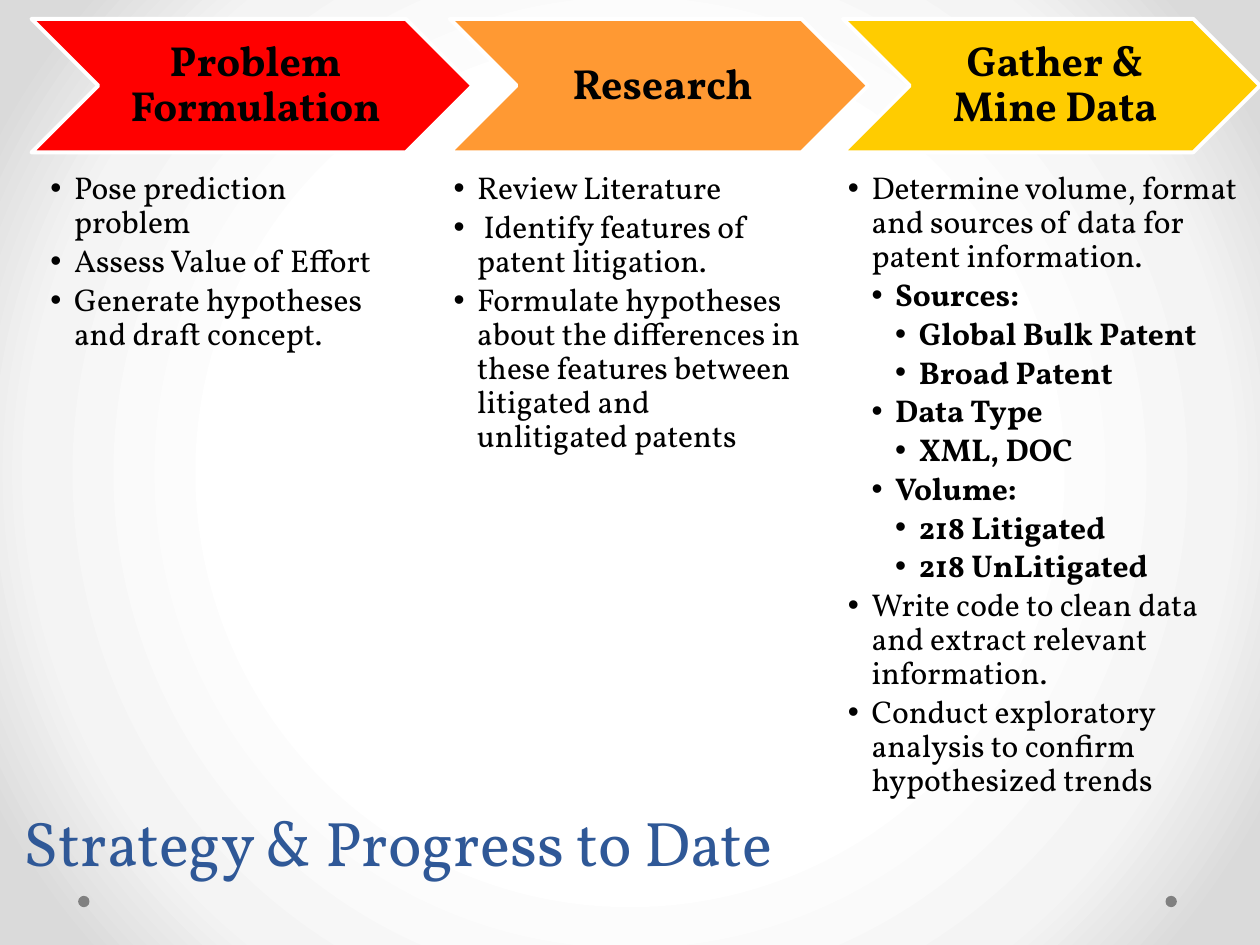
from dataclasses import dataclass

from lxml import etree
from pptx import Presentation
from pptx.dml.color import RGBColor
from pptx.enum.shapes import MSO_SHAPE
from pptx.enum.text import MSO_ANCHOR, MSO_AUTO_SIZE, PP_ALIGN
from pptx.oxml.ns import qn
from pptx.util import Inches, Pt


@dataclass(frozen=True)
class Theme:
    font: str = "Vollkorn"
    title_size: int = 36
    stage_size: int = 24
    list_size: int = 18
    title: str = "2F5897"
    ink: str = "000000"
    edge: str = "FFFFFF"
    dot: str = "808080"
    backdrop: tuple = ((50, "FFFFFF"), (76, "F4F4F4"), (92, "DADADA"))


theme = Theme()


def add_text(paragraph, words, size, color, bold=False):
    run = paragraph.add_run()
    run.text = words
    run.font.name = theme.font
    run.font.size = Pt(size)
    run.font.bold = bold
    run.font.color.rgb = RGBColor.from_string(color)


def set_frame(frame, anchor, margins):
    frame.word_wrap = True
    frame.auto_size = MSO_AUTO_SIZE.NONE
    frame.vertical_anchor = anchor
    frame.margin_left, frame.margin_top, frame.margin_right, frame.margin_bottom = (
        Inches(margin) for margin in margins)


# Chevron left and width, list left and width, then (level, text) items
stages = [
    ("Problem Formulation", "FF0000", 0.25, 3.5, 0.4, 2.78, [
        (0, "Pose prediction problem"),
        (0, "Assess Value of Effort"),
        (0, "Generate hypotheses and draft concept."),
    ]),
    ("Research", "FF9933", 3.57, 3.32, 3.6, 2.8, [
        (0, "Review Literature"),
        (0, " Identify features of patent litigation."),
        (0, "Formulate hypotheses about the differences in these features "
            "between litigated and unlitigated patents"),
    ]),
    ("Gather & Mine Data", "FFCC00", 6.69, 3.31, 6.73, 3.09, [
        (0, "Determine volume, format and sources of data for patent information."),
        (1, "Sources:"),
        (2, "Global Bulk Patent"),
        (2, "Broad Patent"),
        (1, "Data Type"),
        (2, "XML, DOC"),
        (1, "Volume:"),
        (2, "218 Litigated"),
        (2, "218 UnLitigated"),
        (0, "Write code to clean data and extract relevant information."),
        (0, "Conduct exploratory analysis to confirm hypothesized trends"),
    ]),
]

prs = Presentation()
prs.slide_width, prs.slide_height = Inches(10), Inches(7.5)
slide = prs.slides.add_slide(prs.slide_layouts.get_by_name("Comparison"))

# Radial background
slide.background.fill.gradient()
gradient = next(slide.element.iter(qn("a:gradFill")))
for child in list(gradient):
    gradient.remove(child)
stops = etree.SubElement(gradient, qn("a:gsLst"))
for position, color in theme.backdrop:
    stop = etree.SubElement(stops, qn("a:gs"), pos=str(position * 1000))
    etree.SubElement(stop, qn("a:srgbClr"), val=color)
circle = etree.SubElement(gradient, qn("a:path"), path="circle")
etree.SubElement(circle, qn("a:fillToRect"), l="50000", t="50000", r="50000", b="50000")

# Footer dots
for dot_left in (9.25, 0.62):
    dot = slide.shapes.add_shape(
        MSO_SHAPE.OVAL, Inches(dot_left), Inches(7.11), Inches(0.09), Inches(0.09))
    dot.shadow.inherit = False
    dot.fill.solid()
    dot.fill.fore_color.rgb = RGBColor.from_string(theme.dot)
    dot.line.fill.background()

# Title
title = slide.shapes.title
title.left, title.top, title.width, title.height = (
    Inches(length) for length in (0.09, 6.33, 6.6, 0.71))
set_frame(title.text_frame, MSO_ANCHOR.TOP, (0.1, 0.05, 0.1, 0.05))
heading = title.text_frame.paragraphs[0]
heading.alignment = PP_ALIGN.LEFT
add_text(heading, "Strategy & Progress to Date", theme.title_size, theme.title)

# Stages: a chevron with its list below
*bodies, spare = [holder for holder in slide.placeholders
                  if holder.placeholder_format.idx in (1, 2, 3, 4)]
spare.element.getparent().remove(spare.element)

for body, stage in zip(bodies, stages):
    name, color, left, width, list_left, list_width, items = stage
    chevron = slide.shapes.add_shape(
        MSO_SHAPE.CHEVRON, Inches(left), Inches(0.15), Inches(width), Inches(1.06))
    chevron.shadow.inherit = False
    chevron.fill.solid()
    chevron.fill.fore_color.rgb = RGBColor.from_string(color)
    chevron.line.color.rgb = RGBColor.from_string(theme.edge)
    chevron.line.width = Pt(2.25)
    set_frame(chevron.text_frame, MSO_ANCHOR.MIDDLE, (0.1, 0.04, 0.04, 0.04))
    label = chevron.text_frame.paragraphs[0]
    label.alignment = PP_ALIGN.CENTER
    label.line_spacing = 0.9
    add_text(label, name, theme.stage_size, theme.ink, bold=True)

    body.left, body.top, body.width, body.height = (
        Inches(length) for length in (list_left, 1.37, list_width, 6.13))
    set_frame(body.text_frame, MSO_ANCHOR.TOP, (0, 0, 0, 0))
    for number, (level, words) in enumerate(items):
        item = body.text_frame.add_paragraph() if number else body.text_frame.paragraphs[0]
        item.level = level
        item.alignment = PP_ALIGN.LEFT
        item.line_spacing = 0.9
        item.space_before = Pt(0)
        item.space_after = Pt(0.15 * theme.list_size)
        add_text(item, words, theme.list_size, theme.ink, bold=level > 0)
        # Hanging bullet
        props = item._p.get_or_add_pPr()
        props.set("marL", str(Inches(0.1875 * (level + 1))))
        props.set("indent", str(-Inches(0.1875)))
        etree.SubElement(props, qn("a:buFont"), typeface="Arial")
        etree.SubElement(props, qn("a:buChar"), char="•")

prs.save("out.pptx")
